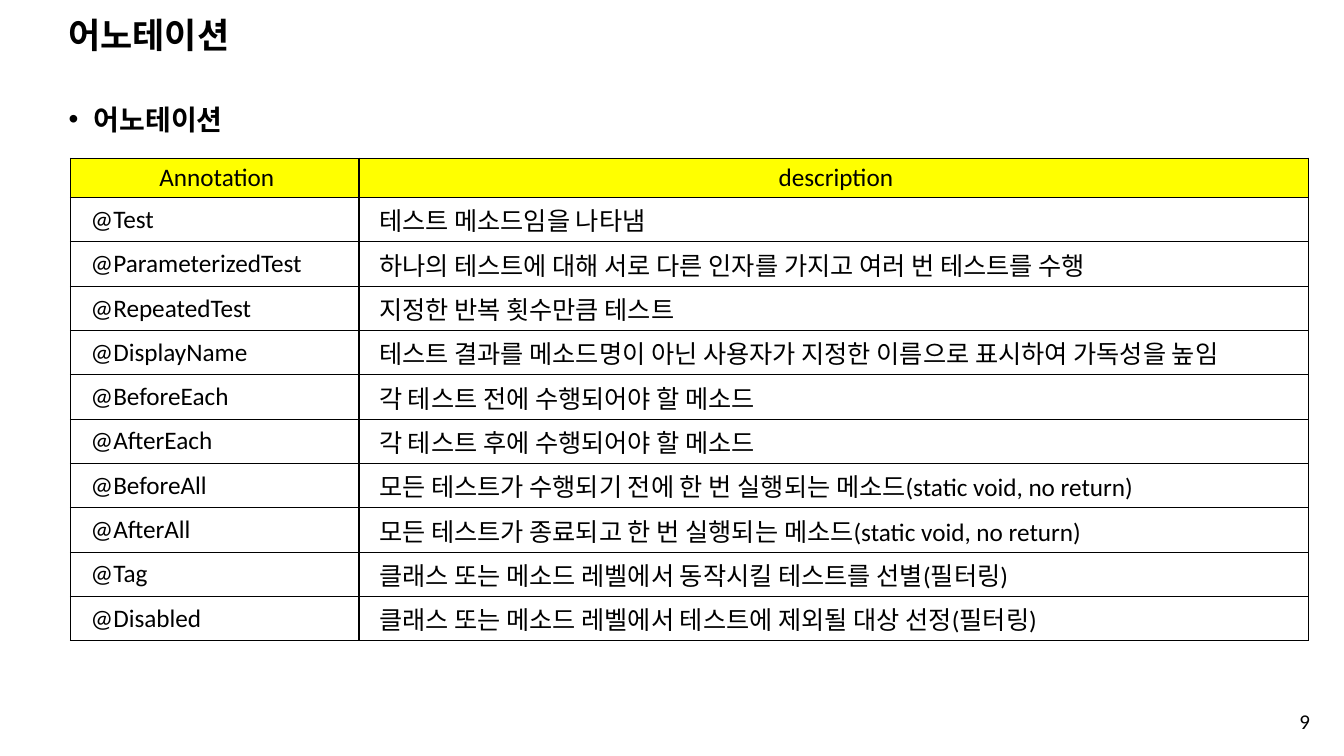
from dataclasses import dataclass

from pptx import Presentation
from pptx import util as u
from pptx.dml.color import RGBColor
from pptx.enum import text
from pptx.oxml import parse_xml
from pptx.oxml.ns import nsdecls


@dataclass(frozen=True)
class Theme:
    ink: str = "000000"
    header_fill: str = "FFFF00"
    heading_font: str = "Arial"
    table_font: str = "Calibri"
    title_size: int = 25
    bullet_size: int = 20
    table_size: int = 18
    page_size: int = 15
    border_width: int = 1


THEME = Theme()
LEFT, CENTER, RIGHT = text.PP_ALIGN.LEFT, text.PP_ALIGN.CENTER, text.PP_ALIGN.RIGHT

HEADINGS = ("Annotation", "description")
ANNOTATIONS = [
    ("@Test", "테스트 메소드임을 나타냄"),
    ("@ParameterizedTest", "하나의 테스트에 대해 서로 다른 인자를 가지고 여러 번 테스트를 수행"),
    ("@RepeatedTest", "지정한 반복 횟수만큼 테스트"),
    ("@DisplayName", "테스트 결과를 메소드명이 아닌 사용자가 지정한 이름으로 표시하여 가독성을 높임"),
    ("@BeforeEach", "각 테스트 전에 수행되어야 할 메소드"),
    ("@AfterEach", "각 테스트 후에 수행되어야 할 메소드"),
    ("@BeforeAll", "모든 테스트가 수행되기 전에 한 번 실행되는 메소드(static void, no return)"),
    ("@AfterAll", "모든 테스트가 종료되고 한 번 실행되는 메소드(static void, no return)"),
    ("@Tag", "클래스 또는 메소드 레벨에서 동작시킬 테스트를 선별(필터링)"),
    ("@Disabled", "클래스 또는 메소드 레벨에서 테스트에 제외될 대상 선정(필터링)"),
]


def apply(target, values):
    for name, value in values.items():
        setattr(target, name, value)


def place(shape, left, top, width, height):
    box = dict(left=left, top=top, width=width, height=height)
    apply(shape, {side: u.Inches(length) for side, length in box.items()})


def write(frame, wording, font, size, bold=False, **paragraph_format):
    """Fill a text frame with one formatted paragraph."""
    paragraph = frame.paragraphs[0]
    apply(paragraph, paragraph_format)
    run = paragraph.add_run()
    run.text = wording
    apply(run.font, dict(name=font, size=u.Pt(size), bold=bold))
    run.font.color.rgb = RGBColor.from_string(THEME.ink)
    return paragraph


def add_title(slide, wording):
    title = slide.shapes.title
    place(title, 0.58, 0.18, 11.5, 0.38)
    apply(title.text_frame, dict(
        auto_size=text.MSO_AUTO_SIZE.NONE, vertical_anchor=text.MSO_ANCHOR.MIDDLE))
    write(title.text_frame, wording, THEME.heading_font, THEME.title_size, True,
          alignment=LEFT, line_spacing=0.9)


def add_bullet(slide, wording):
    body = slide.placeholders[1]
    place(body, 0.58, 0.83, 12.39, 6.6)
    body.text_frame.auto_size = text.MSO_AUTO_SIZE.NONE
    paragraph = write(body.text_frame, wording, THEME.heading_font, THEME.bullet_size,
                      True, line_spacing=1.4, space_before=u.Pt(10))
    # Bullet and hanging indent
    properties = paragraph._p.get_or_add_pPr()
    properties.set("marL", str(u.Inches(0.25)))
    properties.set("indent", str(u.Inches(-0.25)))
    for bullet in ('<a:buFont %s typeface="Arial"/>', '<a:buChar %s char="•"/>'):
        properties.append(parse_xml(bullet % nsdecls("a")))


def add_borders(cell):
    properties = cell._tc.get_or_add_tcPr()
    for position, side in enumerate(("lnL", "lnR", "lnT", "lnB")):
        properties.insert(position, parse_xml(
            f'<a:{side} {nsdecls("a")} w="{u.Pt(THEME.border_width)}"><a:solidFill>'
            f'<a:srgbClr val="{THEME.ink}"/></a:solidFill></a:{side}>'))


def fill_cell(cell, wording, is_header):
    apply(cell, dict(
        margin_left=u.Inches(0.2), margin_right=u.Inches(0.16),
        margin_top=u.Inches(0.04), margin_bottom=u.Inches(0.04),
        vertical_anchor=text.MSO_ANCHOR.MIDDLE))
    write(cell.text_frame, wording, THEME.table_font, THEME.table_size,
          alignment=CENTER if is_header else LEFT)
    if is_header:
        cell.fill.solid()
        cell.fill.fore_color.rgb = RGBColor.from_string(THEME.header_fill)
    else:
        cell.fill.background()
    add_borders(cell)


def add_annotation_table(slide):
    rows = [HEADINGS, *ANNOTATIONS]
    table = slide.shapes.add_table(
        len(rows), len(HEADINGS), u.Inches(0.7), u.Inches(1.57),
        u.Inches(12.28), u.Inches(4.79)).table
    for column, width in zip(table.columns, (2.86, 9.42)):
        column.width = u.Inches(width)
    for r, row in enumerate(rows):
        table.rows[r].height = u.Inches(0.44 if r else 0.39)
        for c, wording in enumerate(row):
            fill_cell(table.cell(r, c), wording, r == 0)


def add_page_number(slide, number):
    box = slide.shapes.add_textbox(
        u.Inches(10.09), u.Inches(6.95), u.Inches(3), u.Inches(0.4))
    apply(box.text_frame, dict(word_wrap=True, vertical_anchor=text.MSO_ANCHOR.MIDDLE))
    write(box.text_frame, number, THEME.table_font, THEME.page_size, alignment=RIGHT)


def main():
    deck = Presentation()
    apply(deck, dict(slide_width=u.Inches(13.33), slide_height=u.Inches(7.5)))
    slide = deck.slides.add_slide(deck.slide_layouts[1])
    add_title(slide, "어노테이션")
    add_page_number(slide, "9")
    add_bullet(slide, "어노테이션")
    add_annotation_table(slide)
    deck.save("out.pptx")


if __name__ == "__main__":
    main()
